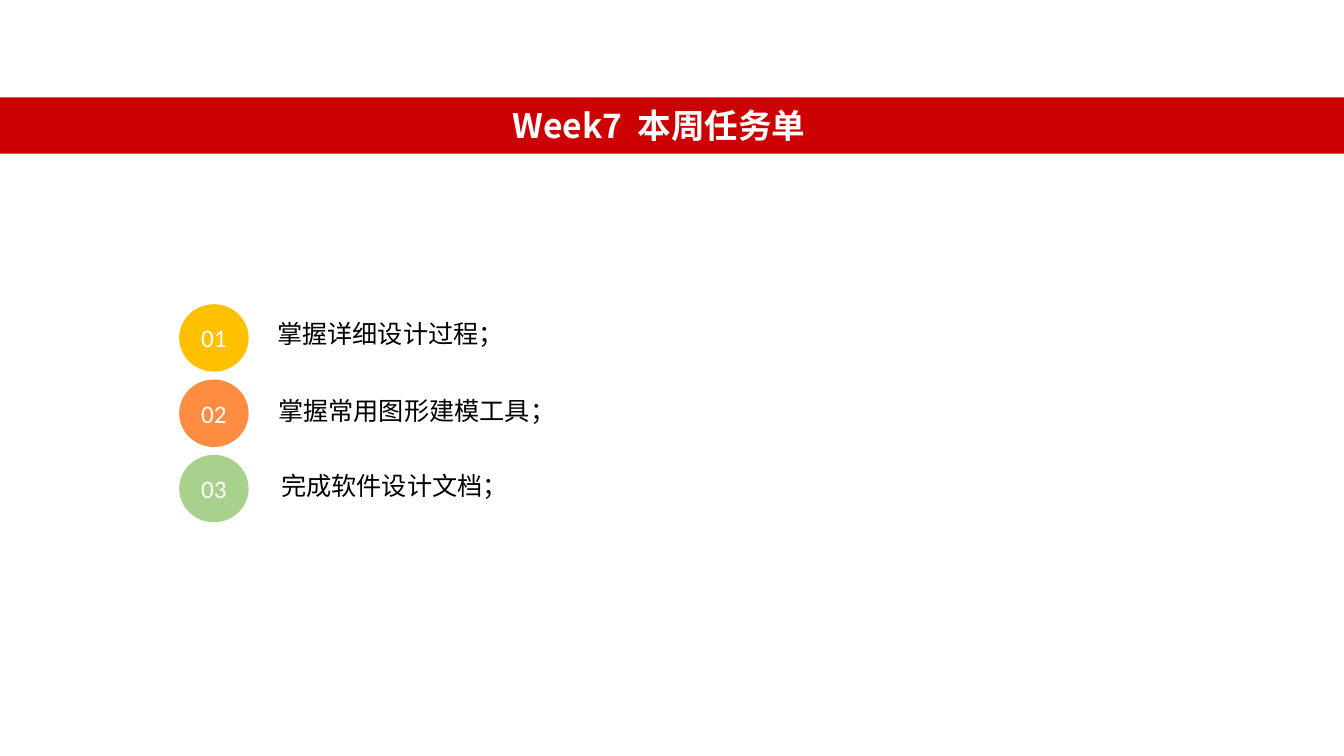
import pptx
import pptx.dml.color
import pptx.enum.shapes
import pptx.enum.text
import pptx.oxml
import pptx.oxml.ns
import pptx.util

Pt = pptx.util.Pt
RGBColor = pptx.dml.color.RGBColor
SHAPE = pptx.enum.shapes.MSO_SHAPE
ALIGN = pptx.enum.text.PP_ALIGN
ANCHOR = pptx.enum.text.MSO_ANCHOR

RED = RGBColor(0xCC, 0x00, 0x00)
AMBER = RGBColor(0xFF, 0xC0, 0x00)
ORANGE = RGBColor(0xFF, 0x8D, 0x41)
GREEN = RGBColor(0xA9, 0xD1, 0x8E)
WHITE = RGBColor(0xFF, 0xFF, 0xFF)
BLACK = RGBColor(0x00, 0x00, 0x00)

CJK_FONT = "Noto Sans CJK SC"
TITLE = {"name": CJK_FONT, "size": Pt(24), "bold": True}
NUMBER = {"name": "Calibri", "size": Pt(18)}
TASK = {"name": "Arial", "size": Pt(18)}

# number colour, task text, then left, top, width and height of its text box
TASKS = [
    (AMBER, "掌握详细设计过程；", (190.8, 223.9, 735, 51)),
    (ORANGE, "掌握常用图形建模工具；", (191.5, 278.6, 546.5, 29)),
    (GREEN, "完成软件设计文档；", (193.7, 332.6, 630, 29)),
]
CIRCLE_LEFT, CIRCLE_TOP, CIRCLE_PITCH = 128, 217.3, 53.8


def write(tf, text, fmt, color, align):
    p = tf.paragraphs[0]
    p.alignment = align
    r = p.add_run()
    r.text = text
    for name, value in fmt.items():
        setattr(r.font, name, value)
    r.font.color.rgb = color
    # East Asian typeface, which python-pptx does not expose
    ea = pptx.oxml.parse_xml(
        f'<a:ea {pptx.oxml.ns.nsdecls("a")} typeface="{CJK_FONT}"/>')
    r.font._element.find(pptx.oxml.ns.qn("a:latin")).addnext(ea)


def add_filled(s, kind, box, color):
    sp = s.shapes.add_shape(kind, *map(Pt, box))
    sp.shadow.inherit = False
    sp.fill.solid()
    sp.fill.fore_color.rgb = color
    sp.line.fill.background()
    return sp


def add_number(s, box, color, text):
    tf = add_filled(s, SHAPE.OVAL, box, color).text_frame
    for side in ("left", "top", "right", "bottom"):
        setattr(tf, f"margin_{side}", 0)
    tf.vertical_anchor = ANCHOR.MIDDLE
    write(tf, text, NUMBER, WHITE, ALIGN.CENTER)


def add_text(s, box, text, fmt, color, align=ALIGN.LEFT, wrap=True):
    tf = s.shapes.add_textbox(*map(Pt, box)).text_frame
    tf.word_wrap = wrap
    tf.auto_size = pptx.enum.text.MSO_AUTO_SIZE.SHAPE_TO_FIT_TEXT
    write(tf, text, fmt, color, align)


def main():
    prs = pptx.Presentation()
    prs.slide_width, prs.slide_height = Pt(960), Pt(540)
    s = prs.slides.add_slide(prs.slide_layouts[6])

    add_filled(s, SHAPE.RECTANGLE, (0, 69.6, 960, 40.2), RED)
    add_text(s, (354, 71.3, 233.3, 36), "Week7  本周任务单",
             TITLE, WHITE, ALIGN.CENTER, wrap=False)

    for i, (color, task, box) in enumerate(TASKS):
        top = CIRCLE_TOP + i * CIRCLE_PITCH
        add_number(s, (CIRCLE_LEFT, top, 49.6, 48.2), color, f"{i + 1:02}")
        add_text(s, box, task, TASK, BLACK)

    prs.save("out.pptx")


if __name__ == "__main__":
    main()
